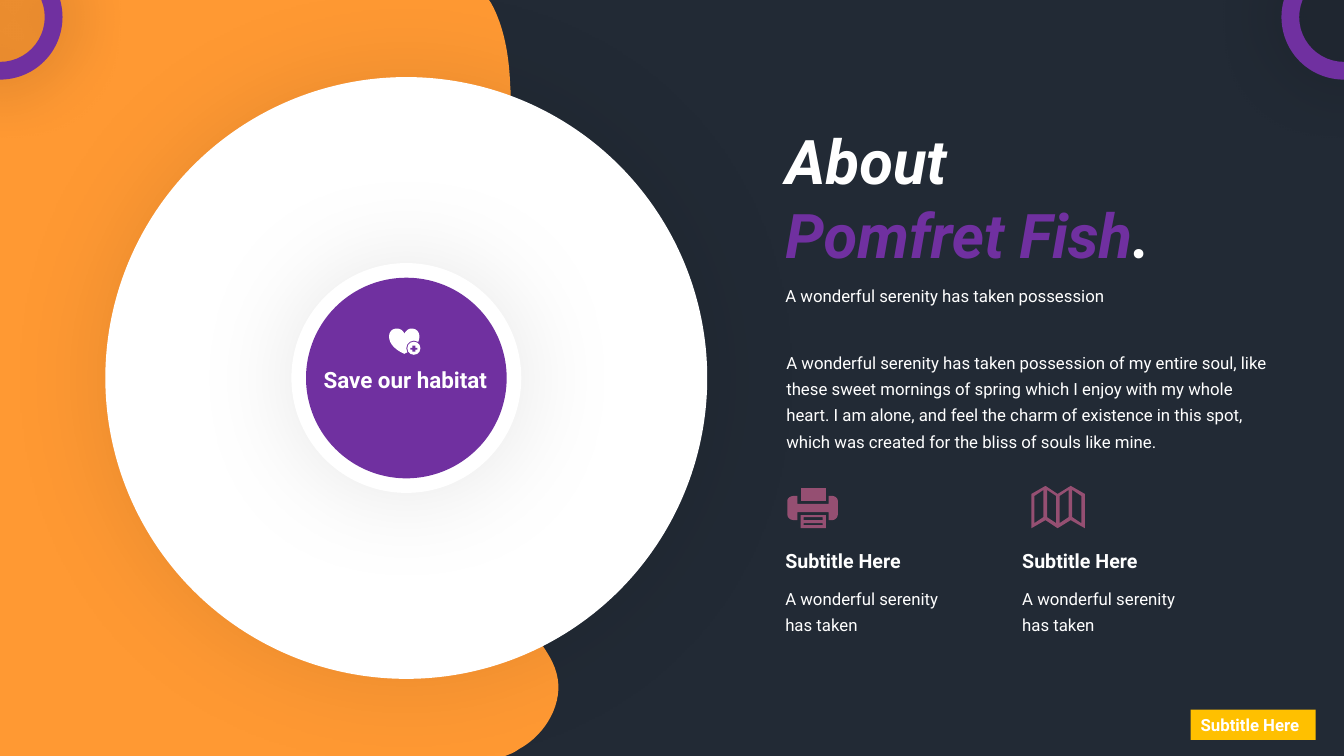
from lxml import etree
from pptx import Presentation
from pptx.dml.color import RGBColor
from pptx.enum.shapes import MSO_SHAPE
from pptx.enum.text import MSO_ANCHOR, MSO_AUTO_SIZE, PP_ALIGN
from pptx.oxml.ns import qn
from pptx.util import Inches, Pt

ELLIPSE, DONUT = MSO_SHAPE.OVAL, MSO_SHAPE.DONUT
RECTANGLE, CROSS = MSO_SHAPE.RECTANGLE, MSO_SHAPE.CROSS
LEFT, CENTER = PP_ALIGN.LEFT, PP_ALIGN.CENTER
TOP, MIDDLE = MSO_ANCHOR.TOP, MSO_ANCHOR.MIDDLE
NO_AUTOFIT = MSO_AUTO_SIZE.NONE

NAVY = RGBColor(0x22, 0x2A, 0x35)
ORANGE = RGBColor(0xFF, 0x99, 0x33)
PURPLE = RGBColor(0x70, 0x30, 0xA0)
PLUM = RGBColor(0x95, 0x4F, 0x72)
AMBER = RGBColor(0xFF, 0xC0, 0x00)
WHITE = RGBColor(0xFF, 0xFF, 0xFF)
FONT = "Roboto"
TITLE_ONLY = 5


def trace(start, segments, steps=16):
    """Points along segments: (x, y) is a line, six numbers are a Bezier curve."""
    points = [start]
    for segment in segments:
        if len(segment) == 2:
            points.append(segment)
            continue
        corners = [points[-1], segment[:2], segment[2:4], segment[4:]]
        for step in range(1, steps + 1):
            t = step / steps
            weights = ((1 - t) ** 3, 3 * t * (1 - t) ** 2, 3 * t * t * (1 - t), t ** 3)
            points.append(tuple(sum(w * c[axis] for w, c in zip(weights, corners))
                                for axis in (0, 1)))
    return points


def box(left, top, width, height):
    return [(left, top), (left + width, top),
            (left + width, top + height), (left, top + height)]


class SlideBuilder:
    def __init__(self, slide, background):
        self.slide = slide
        self.shapes = slide.shapes
        slide.background.fill.solid()
        slide.background.fill.fore_color.rgb = background

    def paint(self, shape, color):
        shape.shadow.inherit = False
        shape.fill.solid()
        shape.fill.fore_color.rgb = color
        shape.line.fill.background()
        return shape

    def shape(self, kind, at, color, adjust=None, shadow=None):
        shape = self.paint(self.shapes.add_shape(kind, *map(Inches, at)), color)
        if adjust is not None:
            shape.adjustments[0] = adjust
        if shadow:
            self.glow(shape, *shadow)
        return shape

    def glow(self, shape, opacity, blur):
        effects = shape._element.spPr.find(qn("a:effectLst"))
        outer = etree.SubElement(effects, qn("a:outerShdw"), blurRad=str(Pt(blur)),
                                 dist="0", algn="ctr", rotWithShape="0")
        black = etree.SubElement(outer, qn("a:srgbClr"), val="000000")
        etree.SubElement(black, qn("a:alpha"), val=str(opacity * 1000))

    def outline(self, color, *contours):
        """One filled shape; contours after the first cut holes."""
        emu = [[(Inches(x), Inches(y)) for x, y in contour] for contour in contours]
        builder = self.shapes.build_freeform(*emu[0][0])
        builder.add_line_segments(emu[0][1:], close=True)
        for hole in emu[1:]:
            builder.move_to(*hole[0])
            builder.add_line_segments(hole[1:], close=True)
        return self.paint(builder.convert_to_shape(), color)

    def fill_text(self, shape, text, size, bold=False, align=LEFT, spacing=1.0, anchor=TOP):
        frame = shape.text_frame
        frame.word_wrap = True
        frame.auto_size = NO_AUTOFIT
        frame.vertical_anchor = anchor
        frame.text = text
        for paragraph in frame.paragraphs:
            paragraph.alignment = align
            paragraph.line_spacing = spacing
            font = paragraph.font
            font.name, font.size, font.bold = FONT, Pt(size), bold
            font.color.rgb = WHITE
        return frame

    def text(self, at, text, size, **style):
        return self.fill_text(self.shapes.add_textbox(*map(Inches, at)), text, size, **style)

    def title(self, at, first_line, accent, ending):
        title = self.shapes.title
        title.left, title.top, title.width, title.height = map(Inches, at)
        frame = self.fill_text(title, f"{first_line}\n{accent}", 44, bold=True)
        for paragraph in frame.paragraphs:
            paragraph.font.italic = True
        second_line = frame.paragraphs[1]
        second_line.runs[0].font.color.rgb = PURPLE
        second_line.add_run().text = ending


prs = Presentation()
prs.slide_width, prs.slide_height = Inches(13.33), Inches(7.5)
page = SlideBuilder(prs.slides.add_slide(prs.slide_layouts[TITLE_ONLY]), NAVY)

# Orange wave on the left
page.outline(ORANGE, trace((4.85, 0), [
    (0, 0), (0, 7.5), (5.01, 7.5), (5.06, 7.48),
    (5.09, 7.47, 5.12, 7.45, 5.15, 7.43),
    (5.41, 7.29, 5.6, 6.97, 5.52, 6.68),
    (5.44, 6.38, 5.13, 6.19, 5.11, 5.89),
    (5.09, 5.57, 5.37, 5.34, 5.59, 5.12),
    (5.78, 4.92, 5.93, 4.66, 5.97, 4.37),
    (6.02, 4.08, 5.96, 3.78, 5.8, 3.55),
    (5.59, 3.27, 5.24, 3.13, 5.08, 2.83),
    (4.89, 2.49, 4.98, 2.07, 5.03, 1.67),
    (5.06, 1.4, 5.08, 1.11, 5.06, 0.84),
    (5.05, 0.56, 5, 0.26, 4.87, 0.03)]))

# Concentric discs
DISC_X, DISC_Y = 4.03, 3.75
for diameter, color, shadow in ((5.97, WHITE, (9, 77)), (2.28, WHITE, (9, 77)),
                                (1.99, PURPLE, None)):
    page.shape(ELLIPSE, (DISC_X - diameter / 2, DISC_Y - diameter / 2, diameter, diameter),
               color, shadow=shadow)

# Heading and introduction
page.title((7.69, 1.17, 5.22, 1.58), "About", "Pomfret Fish", ".")
page.text((7.69, 2.69, 4.42, 0.37), "A wonderful serenity has taken possession", 12,
          spacing=1.5)
page.text((7.7, 3.39, 5.09, 1.15),
          "A wonderful serenity has taken possession of my entire soul, like these sweet "
          "mornings of spring which I enjoy with my whole heart. I am alone, and feel the "
          "charm of existence in this spot, which was created for the bliss of souls like "
          "mine.", 12, spacing=1.3)

# Two captioned columns
for left in (7.69, 10.04):
    page.text((left, 5.4, 1.6, 0.34), "Subtitle Here", 14, bold=True)
    page.text((left, 5.73, 1.83, 0.6), "A wonderful serenity has taken", 12, spacing=1.3)

# Printer icon: paper tray, sheet, body
page.outline(PLUM, box(7.94, 5.11, 0.25, 0.13),
             box(7.97, 5.13, 0.19, 0.03), box(7.97, 5.19, 0.19, 0.02))
page.outline(PLUM, box(7.94, 4.84, 0.25, 0.13))
page.outline(PLUM, trace((7.91, 4.92), [
    (7.91, 5), (8.22, 5), (8.22, 4.92), (8.25, 4.92),
    (8.28, 4.92, 8.31, 4.94, 8.31, 4.97), (8.31, 5.1),
    (8.31, 5.14, 8.28, 5.16, 8.25, 5.16), (8.22, 5.16),
    (8.22, 5.08), (7.91, 5.08), (7.91, 5.16), (7.88, 5.16),
    (7.84, 5.16, 7.81, 5.14, 7.81, 5.1), (7.81, 4.97),
    (7.81, 4.94, 7.84, 4.92, 7.88, 4.92)]))

# Folded map icon: zigzag outline with four panels cut out
FOLDS = (10.23, 10.37, 10.49, 10.62, 10.76)
PANEL_PITCH = 0.5 / 4
top_edge = [(x, 4.82 if i % 2 else 4.9) for i, x in enumerate(FOLDS)]
bottom_edge = [(x, 5.16 if i % 2 else 5.24) for i, x in enumerate(FOLDS)]
panels = []
for i in range(4):
    left = 10.26 + PANEL_PITCH * i
    left_drop, right_drop = (0, 0.06) if i % 2 else (0.06, 0)
    panels.append([(left, 4.86 + left_drop), (left + 0.09, 4.86 + right_drop),
                   (left + 0.09, 5.13 + right_drop), (left, 5.13 + left_drop)])
page.outline(PLUM, top_edge + bottom_edge[::-1], *panels)

# Corner tag
tag = page.shape(RECTANGLE, (11.81, 7.04, 1.24, 0.3), AMBER)
page.fill_text(tag, "Subtitle Here", 12, bold=True, anchor=MIDDLE)

# Corner rings
for left in (-0.62, 12.71):
    page.shape(DONUT, (left, -0.45, 1.24, 1.24), PURPLE, adjust=0.142, shadow=(33, 49))

# Centre label with heart and plus badge
page.text((3.1, 3.58, 1.84, 0.64), "Save our habitat", 16, bold=True, align=CENTER)
page.outline(WHITE, trace((4.01, 3.31), [
    (4.03, 3.28, 4.05, 3.26, 4.08, 3.26),
    (4.13, 3.26, 4.16, 3.29, 4.16, 3.34),
    (4.16, 3.42, 4.08, 3.48, 4.01, 3.51),
    (3.94, 3.48, 3.86, 3.42, 3.86, 3.34),
    (3.86, 3.29, 3.89, 3.26, 3.94, 3.26),
    (3.97, 3.26, 4, 3.28, 4.01, 3.31)]))
page.shape(ELLIPSE, (4.03, 3.38, 0.15, 0.15), PURPLE)
page.shape(ELLIPSE, (4.04, 3.39, 0.13, 0.13), WHITE)
page.shape(CROSS, (4.07, 3.43, 0.07, 0.06), PURPLE, adjust=0.35)

prs.save("out.pptx")
